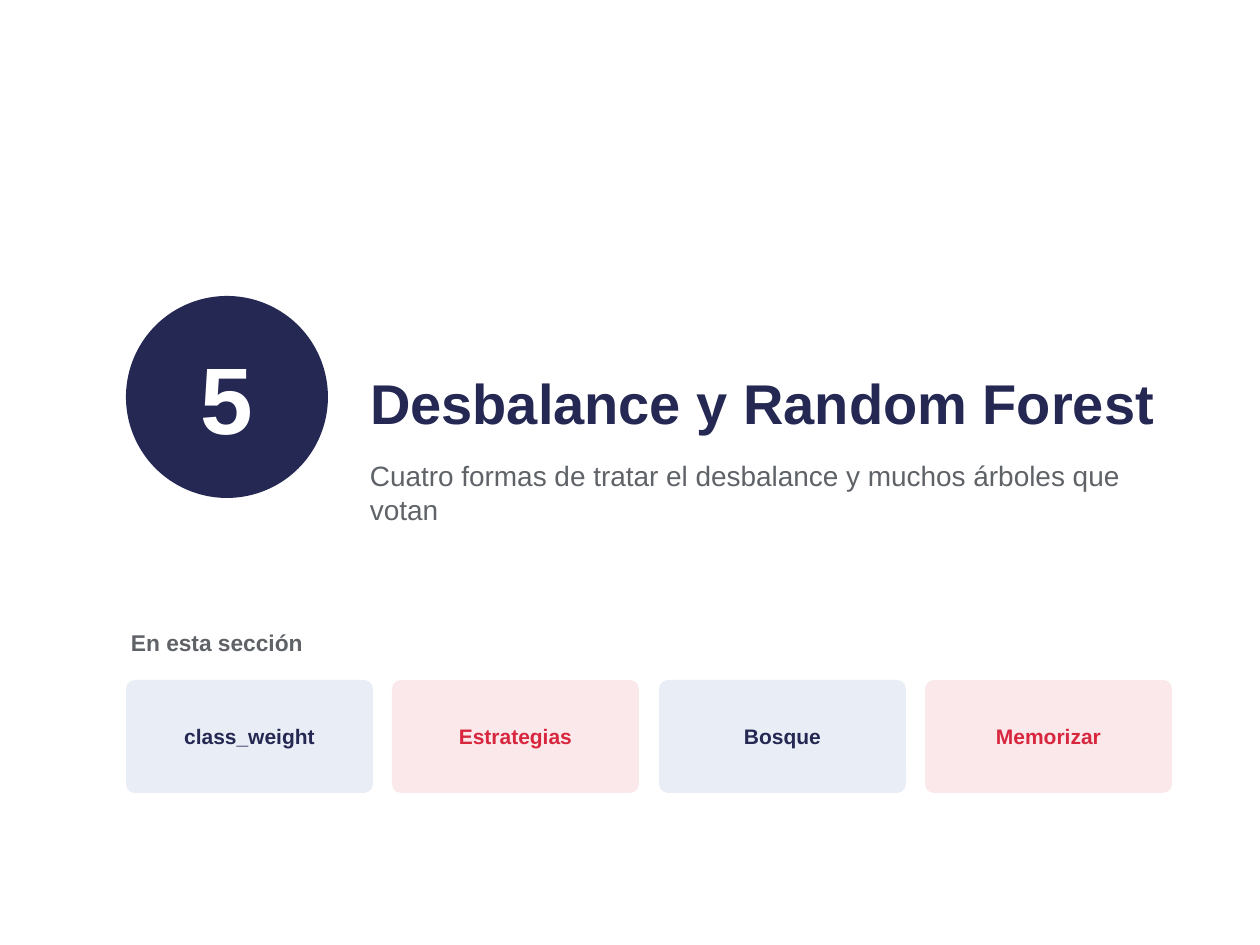
from dataclasses import dataclass

from pptx import Presentation
from pptx.dml.color import RGBColor
from pptx.enum.shapes import MSO_SHAPE as Shape
from pptx.enum.text import MSO_ANCHOR as Anchor, MSO_AUTO_SIZE as AutoSize, PP_ALIGN as Align
from pptx.util import Emu, Pt

EMU_PER_PX = 914400 / 126


@dataclass(frozen=True)
class Theme:
    font: str = "Arial"
    navy: str = "242852"
    red: str = "D7263D"
    grey: str = "5F6368"
    white: str = "FFFFFF"
    pale_blue: str = "E8EDF6"
    pale_red: str = "FBE8EA"
    number_size: int = 54
    title_size: int = 32
    subtitle_size: int = 16
    label_size: int = 13
    card_size: int = 12


THEME = Theme()


def px(length):
    return Emu(round(length * EMU_PER_PX))


def write(box, text, *, size, color, bold=True, align=Align.LEFT,
          anchor=Anchor.TOP, inset=5, space_after=4):
    frame = box.text_frame
    frame.word_wrap = True
    frame.auto_size = AutoSize.NONE
    frame.vertical_anchor = anchor
    frame.margin_left = frame.margin_right = px(inset)
    frame.margin_top = frame.margin_bottom = px(inset)
    para = frame.paragraphs[0]
    para.alignment = align
    para.space_before = Pt(0)
    para.space_after = Pt(space_after)
    span = para.add_run()
    span.text = text
    span.font.name = THEME.font
    span.font.size = Pt(size)
    span.font.bold = bold
    span.font.color.rgb = RGBColor.from_string(color)


def add_title(page, text, left, top, width, height):
    title = page.shapes.title
    title.left, title.top = px(left), px(top)
    title.width, title.height = px(width), px(height)
    write(title, text, size=THEME.title_size, color=THEME.navy, anchor=Anchor.BOTTOM)


def add_text(page, text, left, top, width, height, **text_format):
    box = page.shapes.add_textbox(px(left), px(top), px(width), px(height))
    write(box, text, **text_format)


def add_panel(page, kind, text, left, top, width, height, *, fill, **text_format):
    """Add a borderless filled shape with centred text."""
    panel = page.shapes.add_shape(kind, px(left), px(top), px(width), px(height))
    panel.shadow.inherit = False
    panel.fill.solid()
    panel.fill.fore_color.rgb = RGBColor.from_string(fill)
    panel.line.fill.background()
    write(panel, text, align=Align.CENTER, anchor=Anchor.MIDDLE,
          inset=10, space_after=3, **text_format)
    return panel


def add_cards(page, topics, left, top, width, height, card_width):
    """Spread the topic cards evenly over the width, in alternating colours."""
    styles = [(THEME.pale_blue, THEME.navy), (THEME.pale_red, THEME.red)]
    pitch = (width - card_width) / (len(topics) - 1)
    for index, topic in enumerate(topics):
        fill, color = styles[index % len(styles)]
        card = add_panel(page, Shape.ROUNDED_RECTANGLE, topic,
                         round(left + index * pitch), top, card_width, height,
                         fill=fill, size=THEME.card_size, color=color)
        card.adjustments[0] = 0.08


def main():
    deck = Presentation()
    deck.slide_width, deck.slide_height = px(1260), px(945)
    page = deck.slides.add_slide(deck.slide_layouts[5])

    add_title(page, "Desbalance y Random Forest", 365, 252, 806, 189)
    add_text(page, "Cuatro formas de tratar el desbalance y muchos árboles que votan",
             365, 454, 806, 151, size=THEME.subtitle_size, color=THEME.grey, bold=False)
    add_panel(page, Shape.OVAL, "5", 126, 296, 202, 202,
              fill=THEME.navy, size=THEME.number_size, color=THEME.white)
    add_text(page, "En esta sección", 126, 624, 1046, 50,
             size=THEME.label_size, color=THEME.grey)
    add_cards(page, ["class_weight", "Estrategias", "Bosque", "Memorizar"],
              126, 680, 1046, 113, card_width=247)

    deck.save("out.pptx")


if __name__ == "__main__":
    main()
